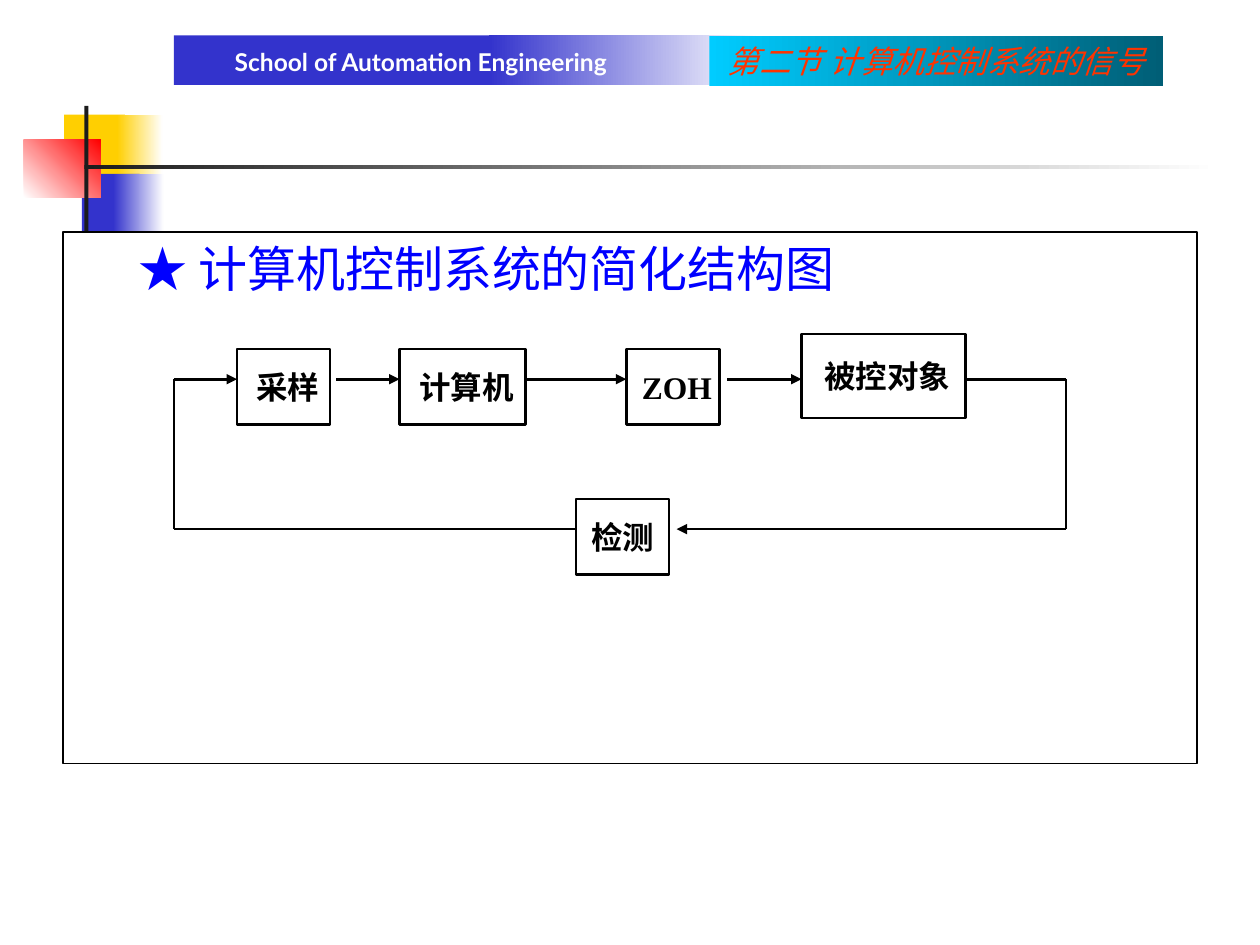
from lxml import etree
from pptx import Presentation
from pptx.dml.color import RGBColor
from pptx.enum.shapes import MSO_CONNECTOR, MSO_SHAPE
from pptx.enum.text import MSO_ANCHOR, MSO_AUTO_SIZE, PP_ALIGN
from pptx.oxml.ns import qn
from pptx.util import Pt

RECTANGLE = MSO_SHAPE.RECTANGLE
STRAIGHT = MSO_CONNECTOR.STRAIGHT
TOP, MIDDLE = MSO_ANCHOR.TOP, MSO_ANCHOR.MIDDLE
LEFT, CENTER = PP_ALIGN.LEFT, PP_ALIGN.CENTER
NO_AUTOFIT = MSO_AUTO_SIZE.NONE

SERIF, SANS = "Times New Roman", "Lato"
BLACK, WHITE, CHARCOAL = "000000", "FFFFFF", "1C1C1C"
YELLOW, BLUE, RED = "FFCF01", "3333CC", "FF0000"


def rgb(color):
    return RGBColor.from_string(color)


def write_text(shape, text, size=18, font=SERIF, color=BLACK, bold=False, italic=False,
               align=CENTER, anchor=MIDDLE, insets=(0, 0, 0, 0)):
    """Write one paragraph; insets run left, top, right, bottom."""
    frame = shape.text_frame
    frame.word_wrap = True
    frame.auto_size = NO_AUTOFIT
    frame.vertical_anchor = anchor
    (frame.margin_left, frame.margin_top,
     frame.margin_right, frame.margin_bottom) = map(Pt, insets)
    paragraph = frame.paragraphs[0]
    paragraph.alignment = align
    paragraph.space_before = Pt(0)
    run = paragraph.add_run()
    run.text = text
    run.font.name = font
    run.font.size = Pt(size)
    run.font.bold = bold
    run.font.italic = italic
    run.font.color.rgb = rgb(color)
    return paragraph


def add_block(slide, left, top, width, height, *colors, angle=0, outline=None):
    """Add a rectangle; two colours make a gradient."""
    shape = slide.shapes.add_shape(RECTANGLE, Pt(left), Pt(top), Pt(width), Pt(height))
    shape.shadow.inherit = False
    if len(colors) == 1:
        shape.fill.solid()
        shape.fill.fore_color.rgb = rgb(colors[0])
    else:
        shape.fill.gradient()
        shape.fill.gradient_angle = angle
        for stop, color in zip(shape.fill.gradient_stops, colors):
            stop.color.rgb = rgb(color)
    if outline:
        shape.line.color.rgb = rgb(BLACK)
        shape.line.width = Pt(outline)
    else:
        shape.line.fill.background()
    return shape


def add_line(slide, start, end, arrow=False):
    line = slide.shapes.add_connector(STRAIGHT, *map(Pt, (*start, *end)))
    line.line.color.rgb = rgb(BLACK)
    line.line.width = Pt(1.5)
    if arrow:
        etree.SubElement(line.line._get_or_add_ln(), qn("a:tailEnd"), type="triangle")
    etree.SubElement(line.element.spPr, qn("a:effectLst"))


def add_ornament(slide, left, top):
    """Draw the overlapping colour blocks with the crossing rules."""
    for x, y, width, height, colors, angle in (
        (23, 5, 34.6, 37.4, (YELLOW,), 0),
        (53.3, 5, 25.9, 37.4, (YELLOW, WHITE), 0),
        (33.1, 38.9, 33.1, 37.4, (BLUE,), 0),
        (51.1, 38.9, 28.8, 37.4, (BLUE, WHITE), 0),
        (0, 19.4, 43.9, 33.1, (WHITE, RED), 45),
        (34.6, 0, 2.2, 82.8, (CHARCOAL,), 0),
        (34.6, 33.8, 648, 2.2, (CHARCOAL, WHITE), 0),
    ):
        add_block(slide, left + x, top + y, width, height, *colors, angle=angle)


def add_header(slide, left, top):
    add_block(slide, left, top, 206, 28.4, BLUE)
    add_block(slide, left + 180, top, 154, 28.4, BLUE, WHITE)
    school = slide.shapes.add_textbox(Pt(left - 34.6), Pt(top + 6.8), Pt(351.4), Pt(16.6))
    write_text(school, "School of Automation Engineering", 14, SANS, WHITE, bold=True)
    section = add_block(slide, left + 306, top + 0.4, 259.2, 28.6, "00CCFF", "005E76")
    write_text(section, "第二节 计算机控制系统的信号", color="FF3300", italic=True)


def fill_body(slide, body, left, top, width, height):
    """Place the framed body placeholder above the ornament."""
    body.left, body.top, body.width, body.height = map(Pt, (left, top, width, height))
    body.fill.solid()
    body.fill.fore_color.rgb = rgb(WHITE)
    body.line.color.rgb = rgb(BLACK)
    body.line.width = Pt(0.75)
    paragraph = write_text(body, "★ 计算机控制系统的简化结构图", 28, color="0000FF",
                           align=LEFT, anchor=TOP, insets=(7.2, 3.6, 7.2, 3.6))
    properties = paragraph._p.get_or_add_pPr()
    properties.set("marL", str(Pt(58.3)))
    properties.set("indent", str(Pt(-22.3)))
    etree.SubElement(properties, qn("a:buNone"))
    slide.shapes.element.append(body.element)


def add_control_loop(slide, left, top):
    """Draw the loop of blocks, its arrows and the feedback path."""
    forward, feedback, right = 25.9, 111.6, 509.8
    for label, x, y, width, height, indent in (
        ("采样", 36, 8.6, 53.3, 43.2, 4.5),
        ("计算机", 128.9, 8.6, 72, 43.2, 4.5),
        ("ZOH", 258.5, 8.6, 53.3, 43.2, 4.5),
        ("被控对象", 358.6, 0, 93.6, 48.2, 4.5),
        ("检测", 229.7, 94.3, 53.3, 43.2, 0),
    ):
        block = add_block(slide, left + x, top + y, width, height, WHITE, outline=1.5)
        write_text(block, label, bold=True, insets=(1.4 + indent, 1.4, 1.4, 1.4))
    for x1, y1, x2, y2, arrow in (
        (0, forward, 36, forward, True),
        (92.9, forward, 128.9, forward, True),
        (200.9, forward, 258.5, forward, True),
        (316.1, forward, 358.6, forward, True),
        (452.2, forward, right, forward, False),
        (right, forward, right, feedback, False),
        (right, feedback, 287.3, feedback, True),
        (229.7, feedback, 0, feedback, False),
        (0, feedback, 0, forward, False),
    ):
        add_line(slide, (left + x1, top + y1), (left + x2, top + y2), arrow)


def main():
    presentation = Presentation()
    presentation.slide_width, presentation.slide_height = Pt(720), Pt(540)
    slide = presentation.slides.add_slide(presentation.slide_layouts[1])
    title, body = slide.placeholders
    title.element.getparent().remove(title.element)
    add_ornament(slide, 13.7, 60.5)
    add_header(slide, 99.4, 20.2)
    fill_body(slide, body, 36, 132.5, 648, 303.8)
    add_control_loop(slide, 99.4, 190.8)
    presentation.save("out.pptx")


if __name__ == "__main__":
    main()
